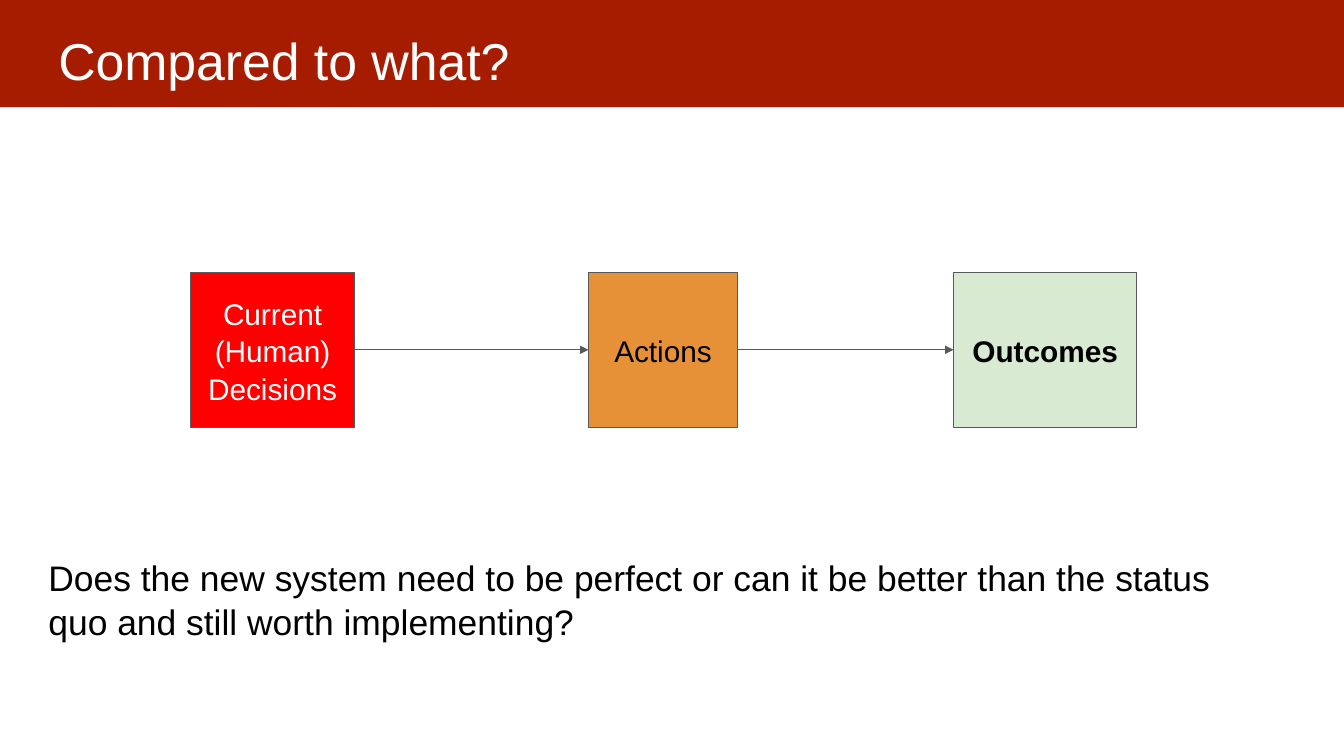
from lxml.etree import SubElement
from pptx import Presentation
from pptx.dml.color import RGBColor
from pptx.enum.shapes import MSO_CONNECTOR, MSO_SHAPE
from pptx.enum.text import MSO_ANCHOR as Anchor, PP_ALIGN as Align
from pptx.oxml.ns import qn
from pptx.util import Cm, Pt

# Content
TITLE = "Compared to what?"
QUESTION = ("Does the new system need to be perfect or can it be better than "
            "the status quo and still worth implementing?")
STEPS = [  # text, left, width (cm), fill, text colour, bold
    ("Current (Human) Decisions", 4.8, 4.14, "red", "white", False),
    ("Actions", 14.83, 3.76, "orange", "black", False),
    ("Outcomes", 24.03, 4.62, "green", "black", True),
]
STEP_TOP, STEP_HEIGHT = 6.86, 3.91
COLORS = {"banner": "A61C00", "red": "FF0000", "orange": "E69138",
          "green": "D9EAD3", "line": "595959", "white": "FFFFFF",
          "black": "000000"}


def color(name):
    return RGBColor.from_string(COLORS[name])


def write(shape, text, size, ink, inset, spacing, bold=False,
          align=Align.LEFT, anchor=Anchor.TOP):
    frame = shape.text_frame
    frame_format = {"word_wrap": True, "vertical_anchor": anchor}
    for side in ("left", "right", "top", "bottom"):
        frame_format[f"margin_{side}"] = Cm(inset)
    paragraph = frame.paragraphs[0]
    paragraph.text = text
    font = paragraph.runs[0].font
    formats = [
        (frame, frame_format),
        (paragraph, {"alignment": align, "line_spacing": spacing}),
        (font, {"name": "Arial", "size": Pt(size), "bold": bold}),
    ]
    for target, values in formats:
        for name, value in values.items():
            setattr(target, name, value)
    font.color.rgb = color(ink)


def add_box(left, top, width, height, fill):
    shape = slide.shapes.add_shape(
        MSO_SHAPE.RECTANGLE, Cm(left), Cm(top), Cm(width), Cm(height))
    shape.shadow.inherit = False
    shape.fill.solid()
    shape.fill.fore_color.rgb = color(fill)
    return shape


def outline(shape):
    shape.line.color.rgb = color("line")
    shape.line.width = Pt(0.75)


def add_arrow(start, end, height):
    arrow = slide.shapes.add_connector(
        MSO_CONNECTOR.STRAIGHT, Cm(start), Cm(height), Cm(end), Cm(height))
    outline(arrow)
    SubElement(arrow.line._get_or_add_ln(), qn("a:tailEnd"), type="triangle")
    SubElement(arrow._element.spPr, qn("a:effectLst"))


presentation = Presentation()
presentation.slide_width, presentation.slide_height = Cm(33.87), Cm(19.05)
slide = presentation.slides.add_slide(presentation.slide_layouts[6])

# Title banner
add_box(-0.05, -0.1, 33.93, 2.8, "banner").line.fill.background()
title = slide.shapes.add_textbox(Cm(1.14), Cm(0.23), Cm(31.55), Cm(2.11))
write(title, TITLE, 37, "white", 0.33, 1.1)

# Steps
for text, left, width, fill, ink, bold in STEPS:
    step = add_box(left, STEP_TOP, width, STEP_HEIGHT, fill)
    outline(step)
    write(step, text, 21.3, ink, 0.25, 1.05, bold, Align.CENTER, Anchor.MIDDLE)

# Arrows from each step to the next
for (_, left, width, *_), (_, next_left, *_) in zip(STEPS, STEPS[1:]):
    add_arrow(left + width, next_left, STEP_TOP + STEP_HEIGHT / 2)

# Closing question
question = slide.shapes.add_textbox(Cm(0.89), Cm(13.64), Cm(31.12), Cm(2.06))
write(question, QUESTION, 25.3, "black", 0.33, 1.04)

presentation.save("out.pptx")
